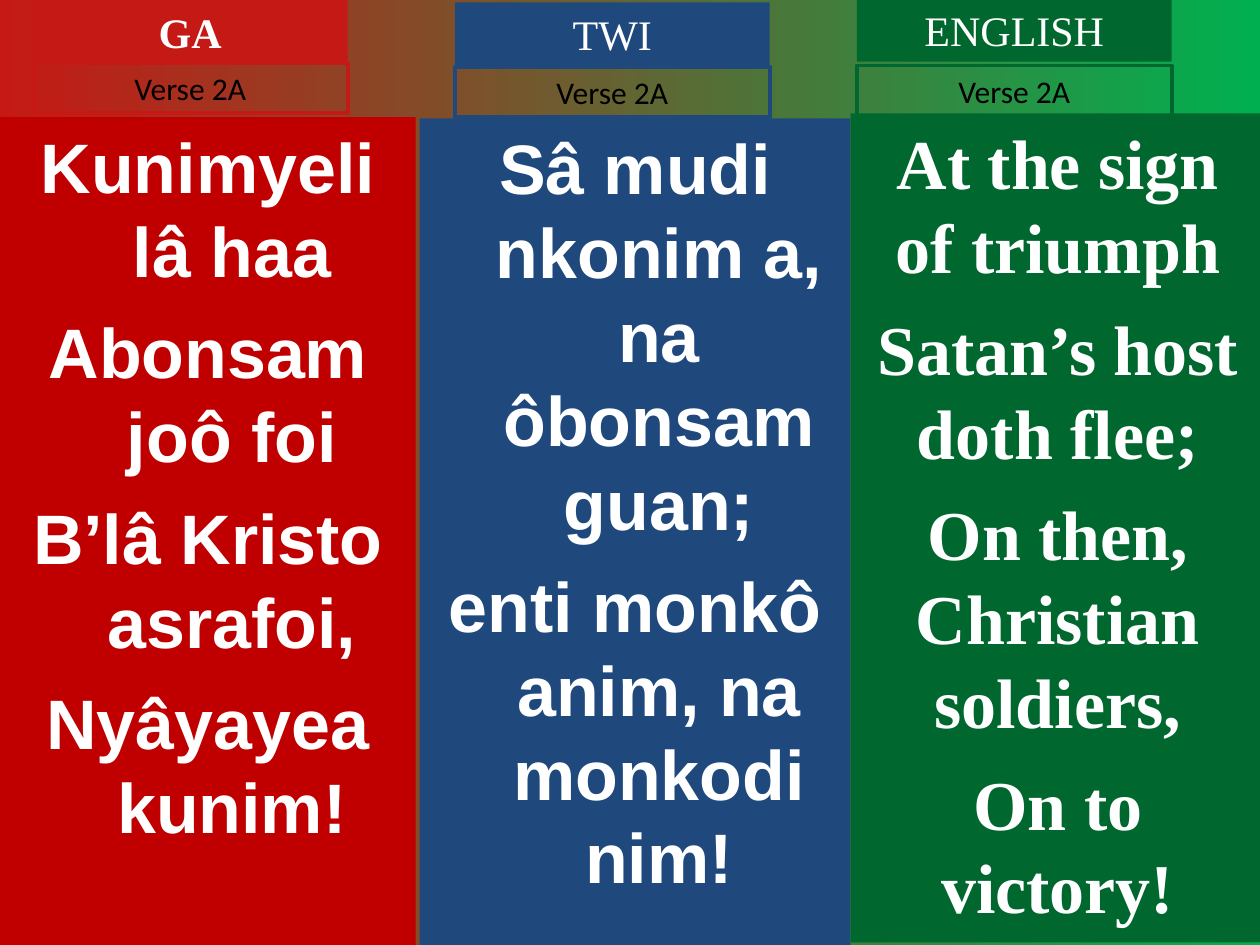
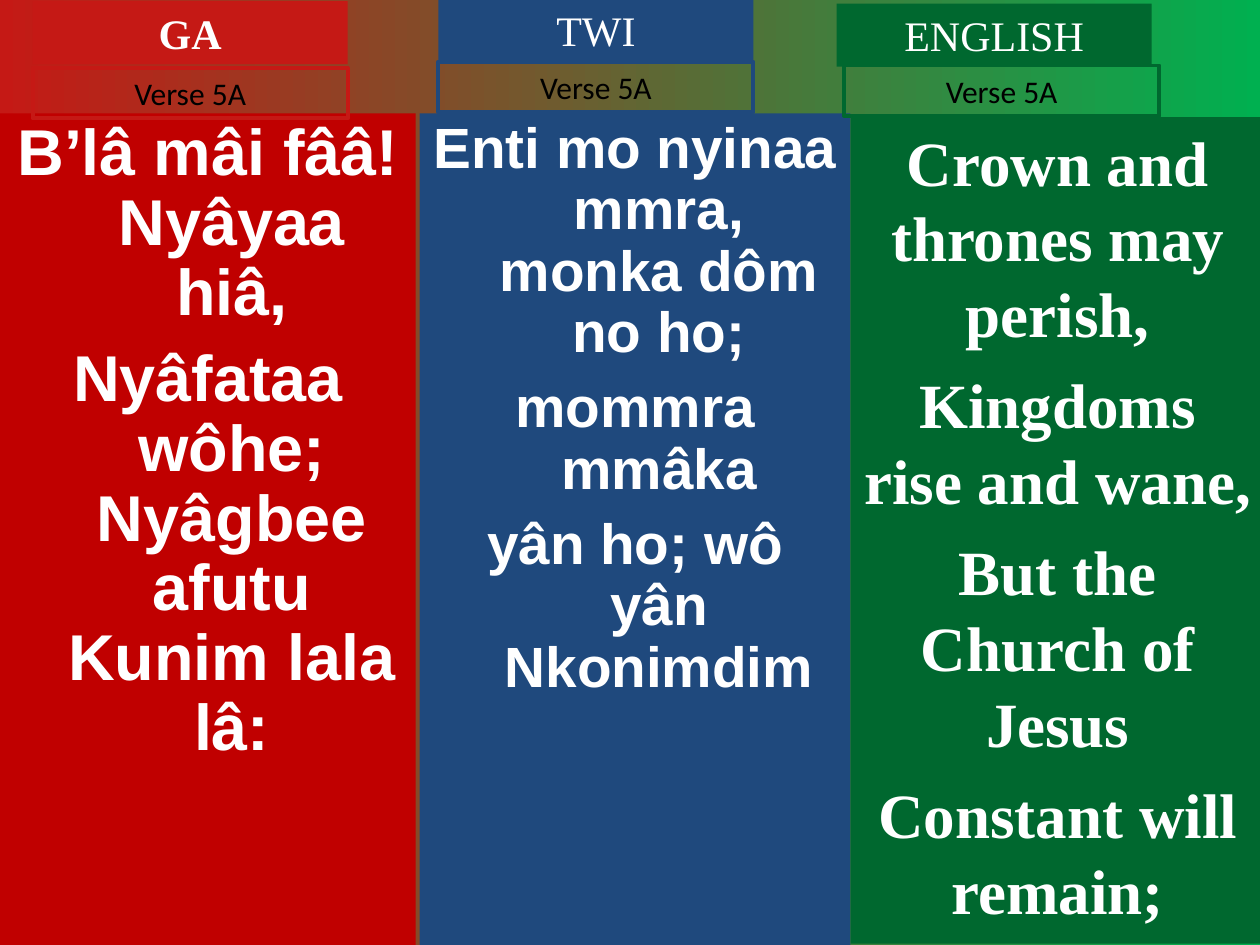
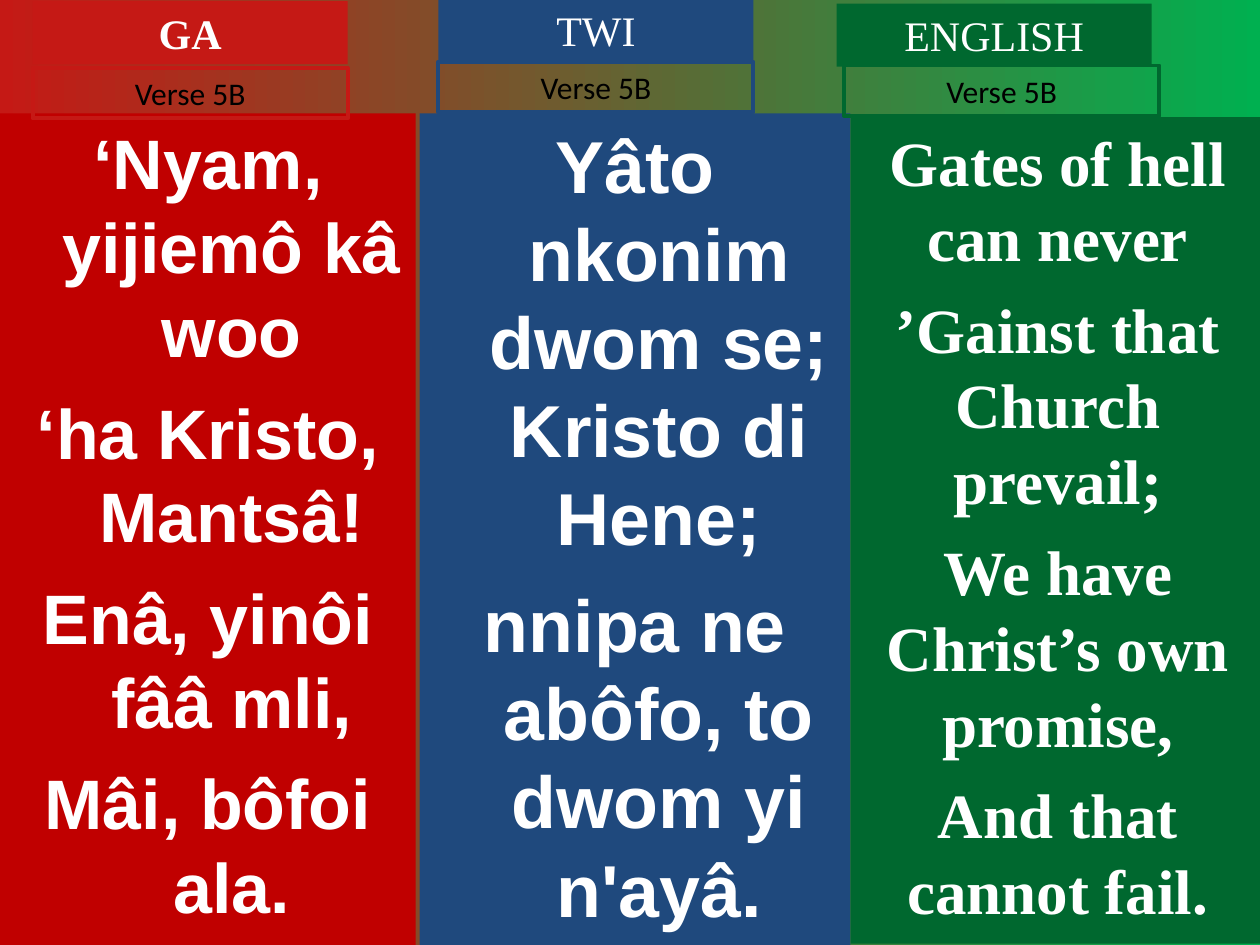
from dataclasses import dataclass
from typing import NamedTuple

from pptx import Presentation
from pptx import util as u
from pptx.dml.color import RGBColor
from pptx.enum import shapes, text

COLORS = {
    "red": "C00000",
    "bright red": "C51915",
    "blue": "1F497D",
    "green": "00682F",
    "bright green": "00B050",
    "white": "FFFFFF",
    "black": "000000",
}
LABEL_WIDTH, HEADING_HEIGHT, VERSE_HEIGHT = 2.5, 0.5, 0.4
HANGING_INDENT = 0.38


class Box(NamedTuple):
    left: float
    top: float
    width: float
    height: float


class TextStyle(NamedTuple):
    font: str
    size: float
    color: str
    bold: bool = False
    hanging: bool = False
    line_spacing: float | None = None
    space_before: float = 0


@dataclass(frozen=True)
class Language:
    name: str
    panel_color: str
    label_color: str
    lyric_font: str
    panel_left: float
    panel_width: float
    bold_heading: bool = False
    hanging: bool = True


class Placement(NamedTuple):
    """Where one language column stands on a slide."""
    panel_top: float
    panel_height: float
    heading_left: float
    heading_top: float
    verse_left: float
    verse_top: float


class Lyrics(NamedTuple):
    lines: list[str]
    size: float = 40
    line_spacing: float | None = None


@dataclass(frozen=True)
class Verse:
    title: str
    placements: list[Placement]
    lyrics: list[Lyrics]


LANGUAGES = [
    Language("GA", "red", "bright red", "Arial", 0, 3.3, bold_heading=True),
    Language("TWI", "blue", "blue", "Arial", 3.33, 3.42),
    Language("ENGLISH", "green", "green", "Times New Roman", 6.75, 3.29, hanging=False),
]

VERSE_2_PLACEMENTS = [
    Placement(0.93, 6.57, 0.26, 0, 0.26, 0.5),
    Placement(0.94, 6.56, 3.61, 0.02, 3.61, 0.53),
    Placement(0.9, 6.58, 6.8, -0.01, 6.8, 0.52),
]
VERSE_5_PLACEMENTS = [
    Placement(0.9, 6.6, 0.26, 0.01, 0.26, 0.54),
    Placement(0.9, 6.6, 3.48, -0.01, 3.48, 0.49),
    Placement(0.93, 6.56, 6.64, 0.03, 6.7, 0.52),
]

VERSES = [
    Verse("Verse 2A", VERSE_2_PLACEMENTS, [
        Lyrics(["Kunimyeli lâ haa", "Abonsam joô foi",
                "B’lâ Kristo asrafoi,", "Nyâyayea kunim!"]),
        Lyrics(["Sâ mudi nkonim a, na ôbonsam guan;",
                "enti monkô anim, na monkodi nim!"]),
        Lyrics(["At the sign of triumph", "Satan’s host doth flee;",
                "On then, Christian soldiers,", "On to victory!"]),
    ]),
    Verse("Verse 5A", VERSE_5_PLACEMENTS, [
        Lyrics(["B’lâ mâi fââ! Nyâyaa hiâ,",
                "Nyâfataa wôhe; Nyâgbee afutu Kunim lala lâ:"], 37, 0.9),
        Lyrics(["Enti mo nyinaa mmra, monka dôm no ho;", "mommra mmâka",
                "yân ho; wô yân Nkonimdim"], 32.4, 0.9),
        Lyrics(["Crown and thrones may perish,", "Kingdoms rise and wane,",
                "But the Church of Jesus", "Constant will remain;"], 36),
    ]),
    Verse("Verse 5B", VERSE_5_PLACEMENTS, [
        Lyrics(["‘Nyam, yijiemô kâ woo", "‘ha Kristo, Mantsâ!",
                "Enâ, yinôi fââ mli,", "Mâi, bôfoi ala."]),
        Lyrics(["Yâto nkonim dwom se; Kristo di Hene;",
                "nnipa ne abôfo, to dwom yi n'ayâ."], 42),
        Lyrics(["Gates of hell can never", "’Gainst that Church prevail;",
                "We have Christ’s own promise,", "And that cannot fail."], 36),
    ]),
]


def rgb(color: str) -> RGBColor:
    return RGBColor.from_string(COLORS[color])


def paint_background(slide) -> None:
    fill = slide.background.fill
    fill.gradient()
    fill.gradient_angle = 0
    for stop, position, color in zip(fill.gradient_stops, (0, 1), ("bright red", "bright green")):
        stop.position = position
        stop.color.rgb = rgb(color)


def add_box(slide, box: Box, lines: list[str], style: TextStyle,
            fill: str | None = None, outline: str | None = None) -> None:
    panel = slide.shapes.add_shape(shapes.MSO_SHAPE.RECTANGLE, *map(u.Inches, box))
    panel.shadow.inherit = False
    if fill:
        panel.fill.solid()
        panel.fill.fore_color.rgb = rgb(fill)
    else:
        panel.fill.background()
    if outline:
        panel.line.color.rgb = rgb(outline)
        panel.line.width = u.Pt(2.25)
    else:
        panel.line.fill.background()

    frame = panel.text_frame
    frame.word_wrap = True
    frame.vertical_anchor = text.MSO_ANCHOR.TOP
    for index, line in enumerate(lines):
        paragraph = frame.add_paragraph() if index else frame.paragraphs[0]
        paragraph.alignment = text.PP_ALIGN.CENTER
        if style.hanging:
            properties = paragraph._p.get_or_add_pPr()
            properties.set("marL", str(u.Inches(HANGING_INDENT)))
            properties.set("indent", str(-u.Inches(HANGING_INDENT)))
        if style.line_spacing:
            paragraph.line_spacing = style.line_spacing
        if index:
            paragraph.space_before = u.Pt(style.space_before)
        run = paragraph.add_run()
        run.text = line
        run.font.name = style.font
        run.font.size = u.Pt(style.size)
        run.font.bold = style.bold
        run.font.color.rgb = rgb(style.color)


def add_column(slide, language: Language, place: Placement, title: str, lyrics: Lyrics) -> None:
    """Draw the lyric panel of a language, then its heading and verse label."""
    add_box(slide,
            Box(language.panel_left, place.panel_top, language.panel_width, place.panel_height),
            lyrics.lines,
            TextStyle(language.lyric_font, lyrics.size, "white", True, language.hanging,
                      lyrics.line_spacing, round(lyrics.size / 4, 1)),
            fill=language.panel_color)
    add_box(slide, Box(place.heading_left, place.heading_top, LABEL_WIDTH, HEADING_HEIGHT),
            [language.name],
            TextStyle("Times New Roman", 24, "white", language.bold_heading),
            fill=language.label_color)
    add_box(slide, Box(place.verse_left, place.verse_top, LABEL_WIDTH, VERSE_HEIGHT),
            [title], TextStyle("Calibri", 18, "black"), outline=language.label_color)


def main() -> None:
    deck = Presentation()
    deck.slide_width, deck.slide_height = u.Inches(10), u.Inches(7.5)
    for verse in VERSES:
        slide = deck.slides.add_slide(deck.slide_layouts[6])
        paint_background(slide)
        for language, place, lyrics in zip(LANGUAGES, verse.placements, verse.lyrics):
            add_column(slide, language, place, verse.title, lyrics)
    deck.save("out.pptx")


if __name__ == "__main__":
    main()
